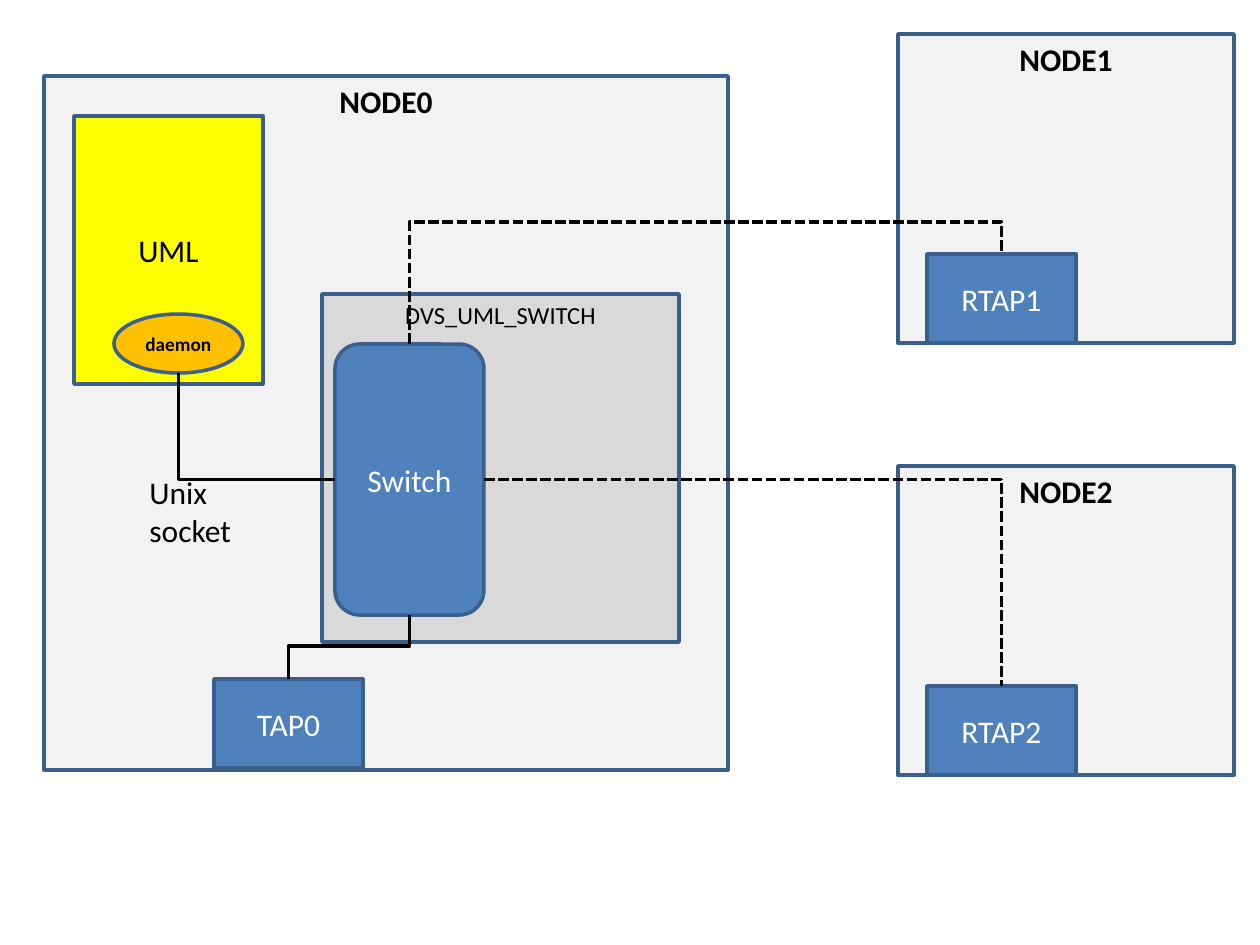
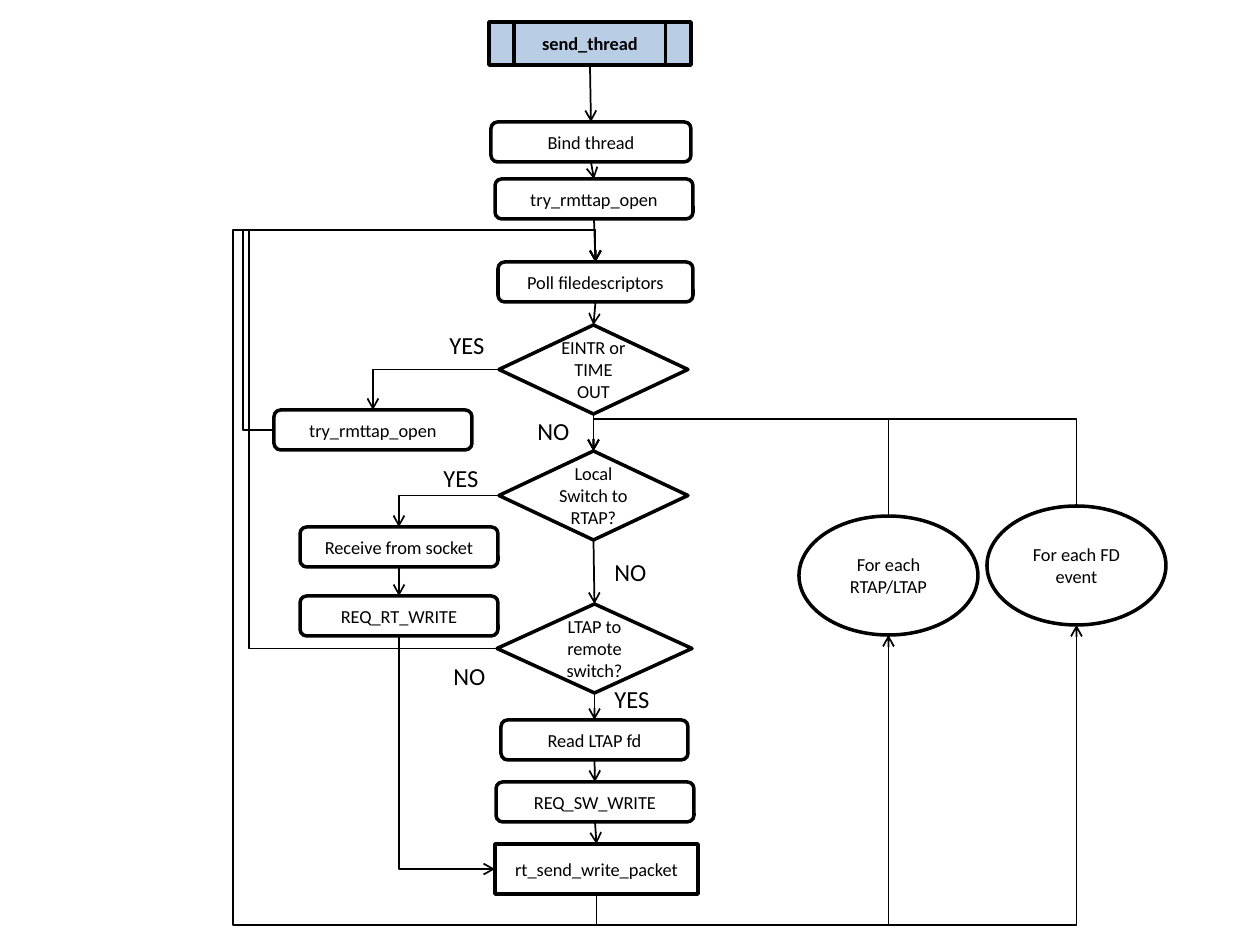
from lxml import etree
from pptx import Presentation
from pptx.dml.color import RGBColor
from pptx.enum.dml import MSO_LINE
from pptx.enum.shapes import MSO_CONNECTOR, MSO_SHAPE
from pptx.enum.text import MSO_ANCHOR, MSO_AUTO_SIZE, PP_ALIGN
from pptx.oxml.ns import qn
from pptx.util import Emu, Pt

RECT, OVAL, ROUND = MSO_SHAPE.RECTANGLE, MSO_SHAPE.OVAL, MSO_SHAPE.ROUNDED_RECTANGLE
STEP, TEST = MSO_SHAPE.FLOWCHART_ALTERNATE_PROCESS, MSO_SHAPE.FLOWCHART_DECISION
CALL, TASK = MSO_SHAPE.FLOWCHART_PREDEFINED_PROCESS, MSO_SHAPE.FLOWCHART_PROCESS
STRAIGHT, ELBOW = MSO_CONNECTOR.STRAIGHT, MSO_CONNECTOR.ELBOW
DASH = MSO_LINE.SQUARE_DOT
CENTER, LEFT = PP_ALIGN.CENTER, PP_ALIGN.LEFT
TOP, MIDDLE = MSO_ANCHOR.TOP, MSO_ANCHOR.MIDDLE
FIT = MSO_AUTO_SIZE.SHAPE_TO_FIT_TEXT

SCALE = 914400 / 126
FONT = "Calibri"
BLACK, WHITE, EDGE, BLUE = "000000", "FFFFFF", "3A5F8C", "4F81BD"
PALE, GREY, YELLOW, AMBER, SKY = "F2F2F2", "D9D9D9", "FFFF00", "FFC000", "B9CDE5"
UP, WEST, DOWN, EAST = range(4)
PORTS = {UP: (0.5, 0), WEST: (0, 0.5), DOWN: (0.5, 1), EAST: (1, 0.5)}


def px(num):
    """Turn pixels into EMU."""
    return Emu(round(num * SCALE))


def rgb(code):
    """Turn a hex string into a colour."""
    return RGBColor.from_string(code)


def write(frame, text, size, color=BLACK, bold=False, align=CENTER):
    """Fill a text frame with one paragraph for each line."""
    frame.text = text
    for para in frame.paragraphs:
        para.alignment = align
        font = para.font
        font.name, font.size, font.bold = FONT, Pt(size), bold
        font.color.rgb = rgb(color)


def block(slide, kind, box, text, size, fill=WHITE, edge=BLACK,
          color=BLACK, bold=False, anchor=MIDDLE):
    """Add a filled shape with centred text."""
    shape = slide.shapes.add_shape(kind, *map(px, box))
    shape.shadow.inherit = False
    shape.fill.solid()
    shape.fill.fore_color.rgb = rgb(fill)
    shape.line.color.rgb = rgb(edge)
    shape.line.width = Pt(2)
    shape.text_frame.vertical_anchor = anchor
    write(shape.text_frame, text, size, color, bold)
    return shape


def label(slide, box, text, size):
    """Add a text box that fits its text."""
    frame = slide.shapes.add_textbox(*map(px, box)).text_frame
    frame.word_wrap = False
    frame.auto_size = FIT
    write(frame, text, size, align=LEFT)


def port(shape, side):
    """Give the middle of one side of a shape."""
    across, down = PORTS[side]
    return shape.left + shape.width * across, shape.top + shape.height * down


def site(con, tag, shape):
    """Renumber the joined side of an oval, which has eight sites."""
    if shape.auto_shape_type == OVAL:
        node = con._element.find(".//" + qn(tag))
        node.set("idx", str(2 * int(node.get("idx"))))


def link(slide, start, out, end, into, kind=STRAIGHT, width=1, dash=None, arrow=True):
    """Join two shapes with a black connector."""
    con = slide.shapes.add_connector(kind, *map(Emu, (0, 0, 0, 0)))
    con.begin_connect(start, out)
    con.end_connect(end, into)
    site(con, "a:stCxn", start)
    site(con, "a:endCxn", end)
    con.line.color.rgb = rgb(BLACK)
    con.line.width = Pt(width)
    if dash:
        con.line.dash_style = dash
    props = con._element.spPr
    if arrow:
        etree.SubElement(props.find(qn("a:ln")), qn("a:tailEnd"), type="arrow")
    etree.SubElement(props, qn("a:effectLst"))
    return con


def bend(slide, start, out, end, into, turns=(), **style):
    """Join two shapes by right angles; turns are alternate y and x places."""
    con = link(slide, start, out, end, into, ELBOW, **style)
    head, tail = port(start, out), port(end, into)
    span = [b - a for a, b in zip(head, tail)]
    upright = out in (UP, DOWN)
    wide, high = (span[1], -span[0]) if upright else span
    con.width, con.height = Emu(round(abs(wide))), Emu(round(abs(high)))
    con.left = Emu(round((head[0] + tail[0] - abs(wide)) / 2))
    con.top = Emu(round((head[1] + tail[1] - abs(high)) / 2))
    frame = con._element.spPr.find(qn("a:xfrm"))
    frame.set("rot", "5400000" if upright else "0")
    frame.set("flipH", str(int(wide < 0)))
    frame.set("flipV", str(int(high < 0)))
    geom = con._element.spPr.find(qn("a:prstGeom"))
    geom.set("prst", f"bentConnector{len(turns) + 2}")
    guides = geom.find(qn("a:avLst"))
    for num, turn in enumerate(turns):
        axis = (num + upright) % 2
        ratio = (px(turn) - head[axis]) / span[axis]
        name = f"adj{num + 1}"
        etree.SubElement(guides, qn("a:gd"), name=name, fmla=f"val {round(ratio * 100000)}")


def tap(slide, x, y, text):
    """Add a blue tap device."""
    return block(slide, RECT, (x, y, 149, 89), text, 18, BLUE, EDGE, WHITE)


def remote(slide, x, y, num):
    """Add a remote node and return its tap."""
    block(slide, RECT, (x, y, 336, 309), f"NODE{num}", 18, PALE, EDGE, bold=True, anchor=TOP)
    return tap(slide, x + 29, y + 220, f"RTAP{num}")


def local(slide, x, y):
    """Add the local node with its parts and return the switch."""
    block(slide, RECT, (x, y, 684, 694), "NODE0", 18, PALE, EDGE, bold=True, anchor=TOP)
    block(slide, RECT, (x + 30, y + 40, 189, 268), "UML", 18, YELLOW, EDGE)
    daemon = block(slide, OVAL, (x + 70, y + 238, 129, 59), "daemon", 11, AMBER, EDGE, bold=True)
    block(slide, RECT, (x + 278, y + 218, 357, 348), "DVS_UML_SWITCH", 14, GREY, EDGE, anchor=TOP)
    label(slide, (x + 93, y + 391, 108, 89), "Unix\nsocket", 18)
    tap0 = tap(slide, x + 170, y + 603, "TAP0")
    switch = block(slide, ROUND, (x + 291, y + 268, 149, 271), "Switch", 18, BLUE, EDGE, WHITE)
    bend(slide, daemon, DOWN, switch, WEST, width=2, arrow=False)
    bend(slide, tap0, UP, switch, DOWN, [y + 570], width=2, arrow=False)
    return switch


def network(slide):
    """Draw the nodes and the paths between them."""
    first, second = remote(slide, 898, 34, 1), remote(slide, 898, 466, 2)
    switch = local(slide, 44, 76)
    path = dict(width=2, dash=DASH, arrow=False)
    bend(slide, switch, UP, first, UP, [222], **path)
    bend(slide, switch, EAST, second, UP, **path)


def column(slide, parts):
    """Add flow blocks joined from top to bottom."""
    blocks = [block(slide, kind, box, text, 10.5) for kind, box, text in parts]
    for above, below in zip(blocks, blocks[1:]):
        link(slide, above, DOWN, below, UP)
    return blocks


def flow(slide):
    """Draw the flow chart of the sending thread."""
    begin = block(slide, CALL, (489, 22, 202, 43), "send_thread", 10.5, SKY, bold=True)
    bind, _, poll, timeout, switch, ltap, _, _, packet = column(slide, [
        (STEP, (491, 122, 200, 40), "Bind thread"),
        (STEP, (495, 179, 198, 40), "try_rmttap_open"),
        (STEP, (498, 262, 195, 40), "Poll filedescriptors"),
        (TEST, (499, 325, 189, 89), "EINTR or\nTIME OUT"),
        (TEST, (499, 451, 189, 89), "Local Switch to RTAP?"),
        (TEST, (497, 604, 195, 89), "LTAP to remote switch?"),
        (STEP, (501, 720, 187, 40), "Read LTAP fd"),
        (STEP, (496, 782, 198, 40), "REQ_SW_WRITE"),
        (TASK, (495, 844, 203, 50), "rt_send_write_packet"),
    ])
    link(slide, begin, DOWN, bind, UP)
    receive, request = column(slide, [
        (STEP, (300, 527, 198, 40), "Receive from socket"),
        (STEP, (300, 596, 198, 40), "REQ_RT_WRITE"),
    ])
    retry = block(slide, STEP, (274, 410, 198, 40), "try_rmttap_open", 10.5)

    for x, y, text in ((987, 506, "For each FD event"), (799, 516, "For each RTAP/LTAP")):
        loop = block(slide, OVAL, (x, y, 179, 119), text, 10.5)
        bend(slide, packet, DOWN, loop, DOWN, [925])
        bend(slide, loop, UP, switch, UP, [419])

    bend(slide, timeout, WEST, retry, UP)
    bend(slide, switch, WEST, receive, UP)
    bend(slide, request, DOWN, packet, WEST)
    bend(slide, retry, WEST, poll, UP, [243, 230])
    bend(slide, ltap, WEST, poll, UP, [249, 230])
    bend(slide, packet, DOWN, poll, UP, [925, 230, 230])

    for x, y, text in ((437, 324, "YES"), (525, 410, "NO"), (431, 457, "YES"),
                       (602, 551, "NO"), (441, 655, "NO"), (602, 678, "YES")):
        label(slide, (x, y, 60, 43), text, 14)


def main():
    """Build and save both slides."""
    deck = Presentation()
    deck.slide_width, deck.slide_height = px(1260), px(945)
    for draw in (network, flow):
        draw(deck.slides.add_slide(deck.slide_layouts[6]))
    deck.save("out.pptx")


if __name__ == "__main__":
    main()
